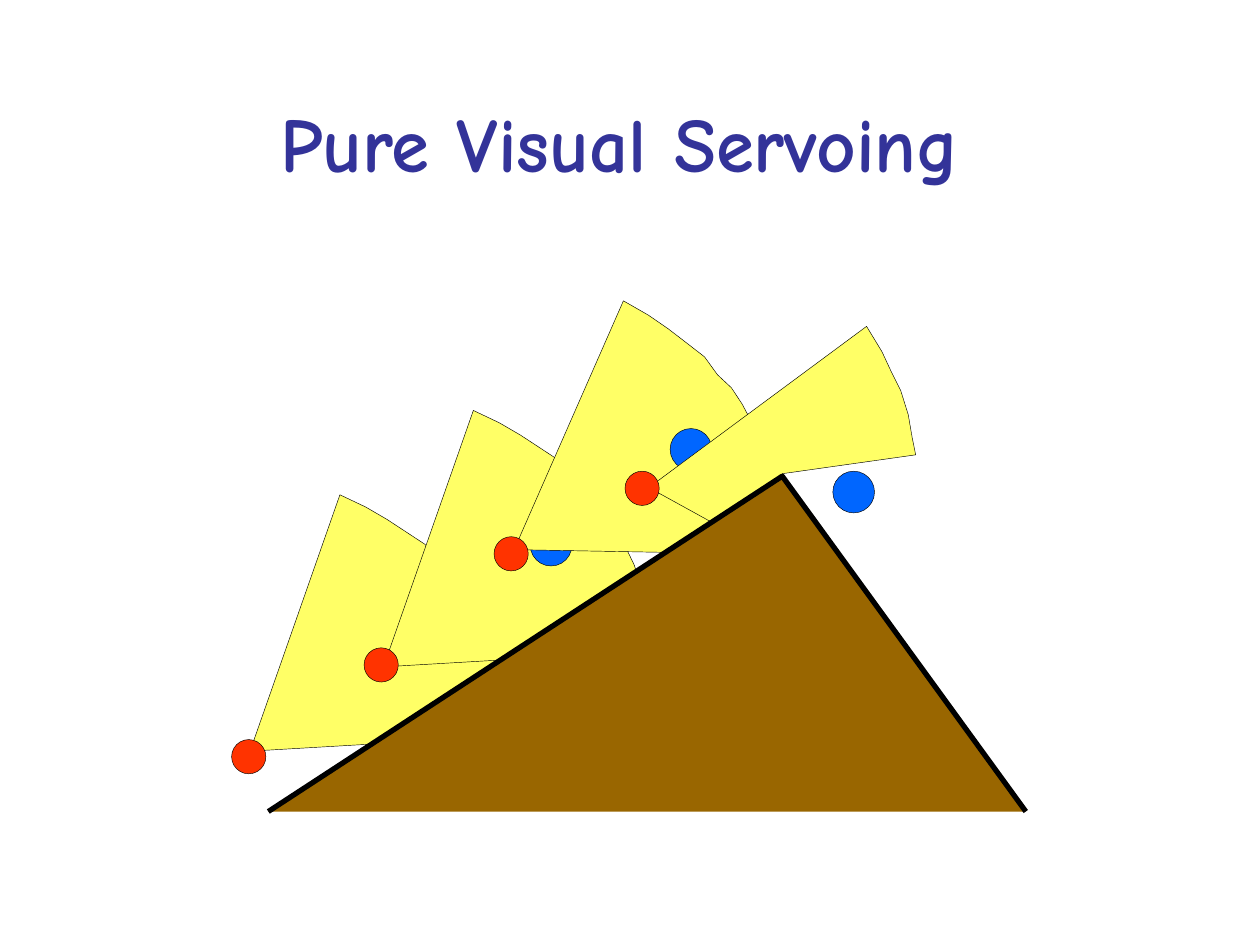
from dataclasses import dataclass

from pptx import Presentation
from pptx.dml.color import RGBColor
from pptx.enum.shapes import MSO_SHAPE
from pptx.enum.text import MSO_ANCHOR, PP_ALIGN
from pptx.shapes.autoshape import Shape
from pptx.util import Cm, Pt

Point = tuple[float, float]


@dataclass(frozen=True)
class Theme:
    font: str = "Comic Neue"
    title_size: float = 44
    title: str = "333399"
    view: str = "FFFF66"
    target: str = "0066FF"
    robot: str = "FF3300"
    hill: str = "996600"
    outline: str = "000000"
    thin: float = 0.25
    thick: float = 3


@dataclass(frozen=True)
class Step:
    """One moment of the climb; all positions are top-left corners in cm."""
    outline: list[Point]
    view: Point
    rotation: float
    target: Point
    robot: Point


THEME = Theme()
TARGET_SIZE, ROBOT_SIZE = 0.84, 0.69

# Outlines in cm, relative to their own top-left corner
FULL_VIEW = [(0, 5.23), (1.63, 0), (2.16, 0.23), (2.59, 0.46), (2.92, 0.66),
             (3.38, 0.94), (3.68, 1.27), (3.99, 1.5), (4.24, 1.8),
             (4.5, 2.18), (4.78, 2.62), (4.98, 3), (5.18, 3.56),
             (5.28, 3.94), (5.38, 4.37), (5.44, 4.72)]
BLOCKED_VIEW = [(0, 3.25), (4.39, 0), (4.7, 0.51), (4.9, 0.94), (5.08, 1.3),
                (5.23, 1.78), (5.31, 2.24), (5.38, 2.59), (2.69, 2.97),
                (2.87, 4.83)]
HILL = [(0, 6.76), (10.36, 0), (15.27, 6.76)]

STEPS = [
    Step(FULL_VIEW, (5.13, 10.01), 2, (8.03, 12.45), (4.67, 14.91)),
    Step(FULL_VIEW, (7.82, 8.31), 2, (10.69, 10.57), (7.34, 13.06)),
    Step(FULL_VIEW, (10.64, 6.17), 6.4, (13.51, 8.64), (9.96, 10.82)),
    Step(BLOCKED_VIEW, (13.08, 6.58), 0, (16.79, 9.5), (12.6, 9.5)),
]


def paint(sp: Shape, fill: str, width: float) -> None:
    sp.shadow.inherit = False
    sp.fill.solid()
    sp.fill.fore_color.rgb = RGBColor.from_string(fill)
    sp.line.color.rgb = RGBColor.from_string(THEME.outline)
    sp.line.width = Pt(width)


def add_outline(shapes, points: list[Point], at: Point, fill: str,
                width: float, close: bool = True) -> Shape:
    start, *rest = [(Cm(x), Cm(y)) for x, y in points]
    builder = shapes.build_freeform(*start)
    builder.add_line_segments(rest, close=close)
    sp = builder.convert_to_shape(Cm(at[0]), Cm(at[1]))
    paint(sp, fill, width)
    return sp


def add_ball(shapes, at: Point, size: float, fill: str) -> None:
    sp = shapes.add_shape(MSO_SHAPE.OVAL, Cm(at[0]), Cm(at[1]),
                          Cm(size), Cm(size))
    paint(sp, fill, THEME.thin)


def add_step(s, step: Step) -> None:
    shapes = s.shapes.add_group_shape().shapes
    view = add_outline(shapes, step.outline, step.view, THEME.view, THEME.thin)
    view.rotation = step.rotation
    add_ball(shapes, step.target, TARGET_SIZE, THEME.target)
    add_ball(shapes, step.robot, ROBOT_SIZE, THEME.robot)


def add_title(s, text: str) -> None:
    tf = s.shapes.add_textbox(Cm(1.7), Cm(1.27), Cm(21.59), Cm(3.18)).text_frame
    tf.word_wrap = True
    tf.vertical_anchor = MSO_ANCHOR.MIDDLE
    p = tf.paragraphs[0]
    p.alignment = PP_ALIGN.CENTER
    r = p.add_run()
    r.text = text
    r.font.name = THEME.font
    r.font.size = Pt(THEME.title_size)
    r.font.bold = True
    r.font.color.rgb = RGBColor.from_string(THEME.title)


def main() -> None:
    prs = Presentation()
    prs.slide_width, prs.slide_height = Cm(25.4), Cm(19.05)
    s = prs.slides.add_slide(prs.slide_layouts[6])

    add_title(s, "Pure Visual Servoing")

    # Robot climbing, with its field of view and the target
    for step in STEPS:
        add_step(s, step)

    # Hill in front, open along its base
    add_outline(s.shapes, HILL, (5.41, 9.6), THEME.hill, THEME.thick,
                close=False)

    prs.save("out.pptx")


if __name__ == "__main__":
    main()
